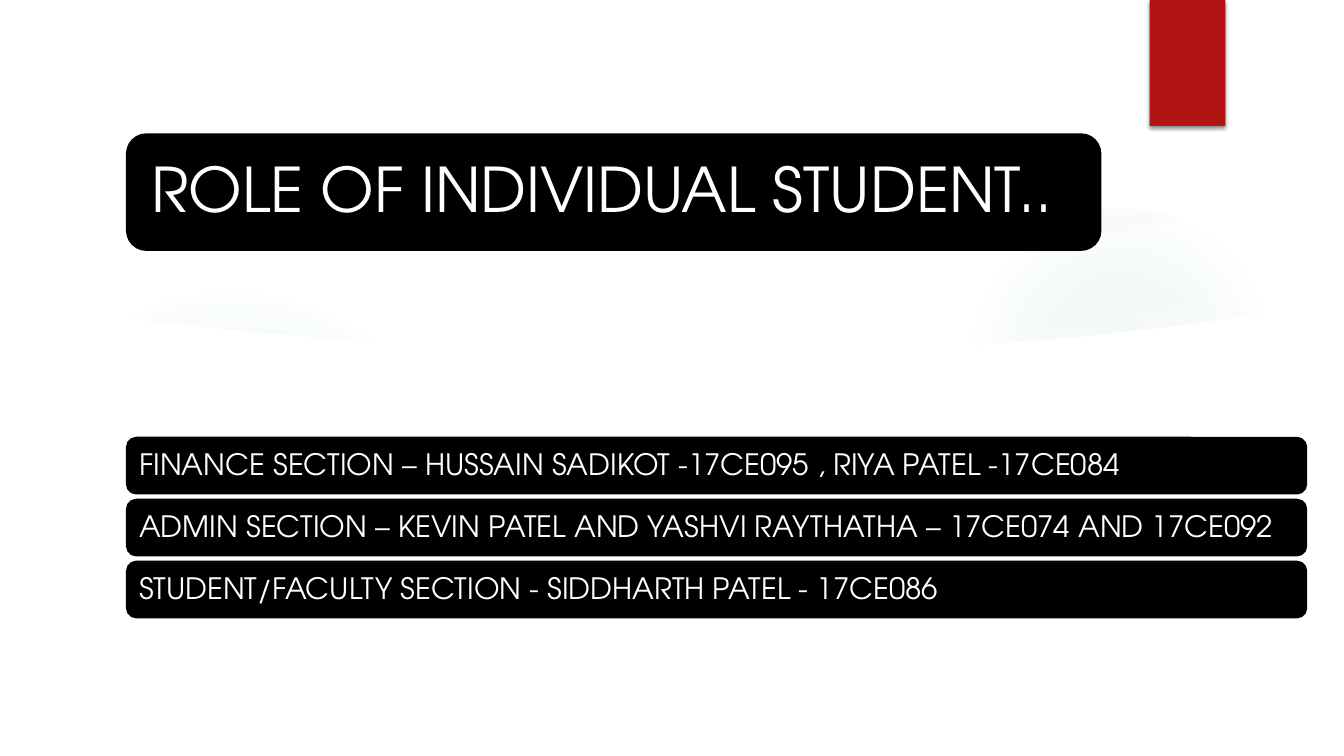
from lxml.etree import SubElement
from pptx import Presentation
from pptx.dml.color import RGBColor
from pptx.enum.shapes import MSO_SHAPE as SHAPE
from pptx.enum.text import MSO_ANCHOR as ANCHOR, MSO_AUTO_SIZE as AUTO, PP_ALIGN as ALIGN
from pptx.oxml import parse_xml
from pptx.oxml.ns import nsdecls, qn
from pptx.util import Pt

PX = 9525  # EMU in one px, 96 px to the inch
FONT = "TeX Gyre Adventor"
COLORS = {"white": "FFFFFF", "bar": "000000", "tab": "B01513", "glow": "5F9C9D"}


def paint(sp, color, line=None):
    sp.shadow.inherit = False
    sp.fill.solid()
    sp.fill.fore_color.rgb = RGBColor.from_string(COLORS[color])
    if line:
        sp.line.color.rgb = RGBColor.from_string(COLORS[color])
        sp.line.width = Pt(line)
    else:
        sp.line.fill.background()


def write(sp, text, size, inset, color="white"):
    tf = sp.text_frame
    tf.word_wrap, tf.auto_size = True, AUTO.NONE
    tf.vertical_anchor = ANCHOR.MIDDLE
    tf.margin_left = tf.margin_right = tf.margin_top = tf.margin_bottom = inset * PX
    p = tf.paragraphs[0]
    p.alignment, p.line_spacing = ALIGN.LEFT, 0.9
    r = p.add_run()
    r.text = text
    r.font.name, r.font.size = FONT, Pt(size)
    r.font.color.rgb = RGBColor.from_string(COLORS[color])


prs = Presentation()
prs.slide_width, prs.slide_height = 1280 * PX, 720 * PX
slide = prs.slides.add_slide(prs.slide_layouts[5])
shapes = slide.shapes

# Background: glowing circles, each layer cut off by a white wave
RIGHT_GLOW = (920, 192, 296, [(0, 7), (36, 6), (69, 0)])
LEFT_GLOW = (0, 280, 440, [(0, 11), (36, 10), (75, 0)])
WAVE = [(48, 0), (90, 6), (153, 13), (238, 22), (345, 31), (468, 37), (630, 42),
        (780, 41), (910, 36), (1017, 28), (1124, 16), (1232, 1)]
STRIP = [(897, 42), (1237, 7), (1232, -38), (1176, -20), (1109, -2),
         (1032, 14), (959, 27), (893, 36)]

for wave_top, glows in ((196, [RIGHT_GLOW]), (294, [RIGHT_GLOW, LEFT_GLOW])):
    for x, y, d, stops in glows:
        sp = shapes.add_shape(SHAPE.OVAL, x * PX, y * PX, d * PX, d * PX)
        paint(sp, "glow")
        stops_xml = "".join(
            f'<a:gs pos="{pos * 1000}"><a:srgbClr val="{COLORS["glow"]}">'
            f'<a:alpha val="{alpha * 1000}"/></a:srgbClr></a:gs>' for pos, alpha in stops)
        solid = sp._element.spPr.find(qn("a:solidFill"))
        sp._element.spPr.replace(solid, parse_xml(
            f'<a:gradFill {nsdecls("a")}><a:gsLst>{stops_xml}</a:gsLst><a:path path="circle">'
            '<a:fillToRect l="50000" t="50000" r="50000" b="50000"/></a:path></a:gradFill>'))

    wave = [(x, wave_top + dy) for x, dy in WAVE] + [(1232, 672), (48, 672)]
    strip = [(x, wave_top + dy) for x, dy in STRIP]
    for outline, alpha in ((wave, 100), (strip, 20)):
        fb = shapes.build_freeform(*outline[0], scale=PX)
        fb.add_line_segments(outline[1:], close=True)
        sp = fb.convert_to_shape()
        paint(sp, "white")
        rgb = sp._element.spPr.find(qn("a:solidFill"))[0]
        SubElement(rgb, qn("a:alpha"), val=str(alpha * 1000))

frame = shapes.add_shape(SHAPE.FRAME, 0, 0, 1280 * PX, 720 * PX)
frame.adjustments[0] = 0.07
paint(frame, "white")

tab = shapes.add_shape(SHAPE.RECTANGLE, 1095 * PX, 0, 72 * PX, 120 * PX)
paint(tab, "tab")
effects = tab._element.spPr.find(qn("a:effectLst"))
shadow = SubElement(effects, qn("a:outerShdw"), blurRad=str(Pt(3)), dist=str(Pt(2)),
                    dir="5400000", rotWithShape="0")
rgb = SubElement(shadow, qn("a:srgbClr"), val=COLORS["bar"])
SubElement(rgb, qn("a:alpha"), val="45000")

# Title on its bar
bar = shapes.add_shape(SHAPE.ROUNDED_RECTANGLE, 121 * PX, 128 * PX, 927 * PX, 110 * PX)
paint(bar, "bar", line=1.5)
title = shapes.title
title.left, title.top, title.width, title.height = 127 * PX, 133 * PX, 917 * PX, 100 * PX
write(title, "ROLE OF INDIVIDUAL STUDENT..", size=44, inset=17)
bar._element.addnext(title._element)

# One bar for each section
SECTIONS = [
    "FINANCE SECTION – HUSSAIN SADIKOT -17CE095 , RIYA PATEL -17CE084",
    "ADMIN SECTION – KEVIN PATEL AND YASHVI RAYTHATHA – 17CE074 AND 17CE092",
    "STUDENT/FACULTY SECTION - SIDDHARTH PATEL - 17CE086",
]
for i, section in enumerate(SECTIONS):
    bar = shapes.add_shape(SHAPE.ROUNDED_RECTANGLE, 121 * PX, (417 + 59 * i) * PX,
                           1123 * PX, 53 * PX)
    paint(bar, "bar", line=1.5)
    write(bar, section, size=21, inset=9)

prs.save("out.pptx")
